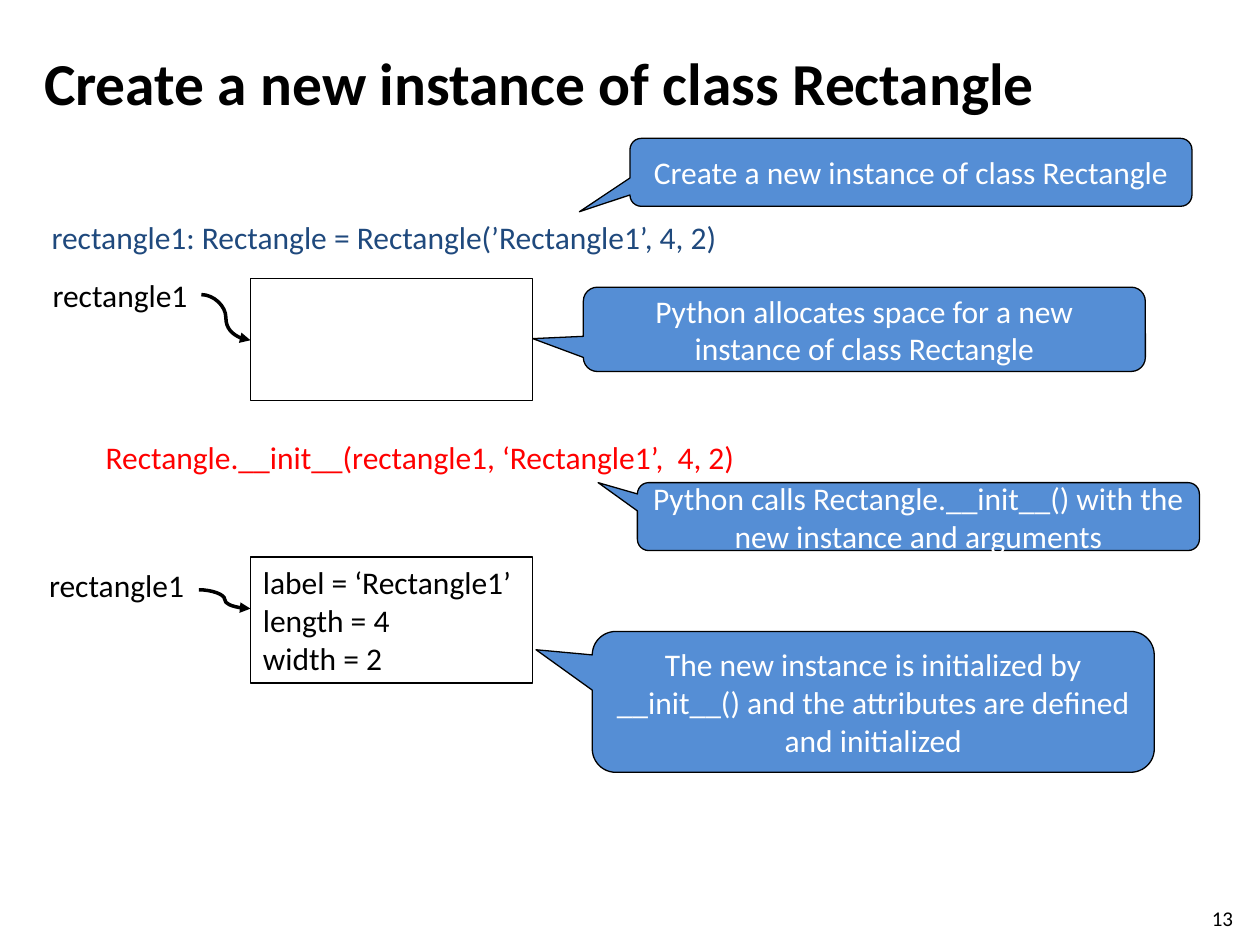
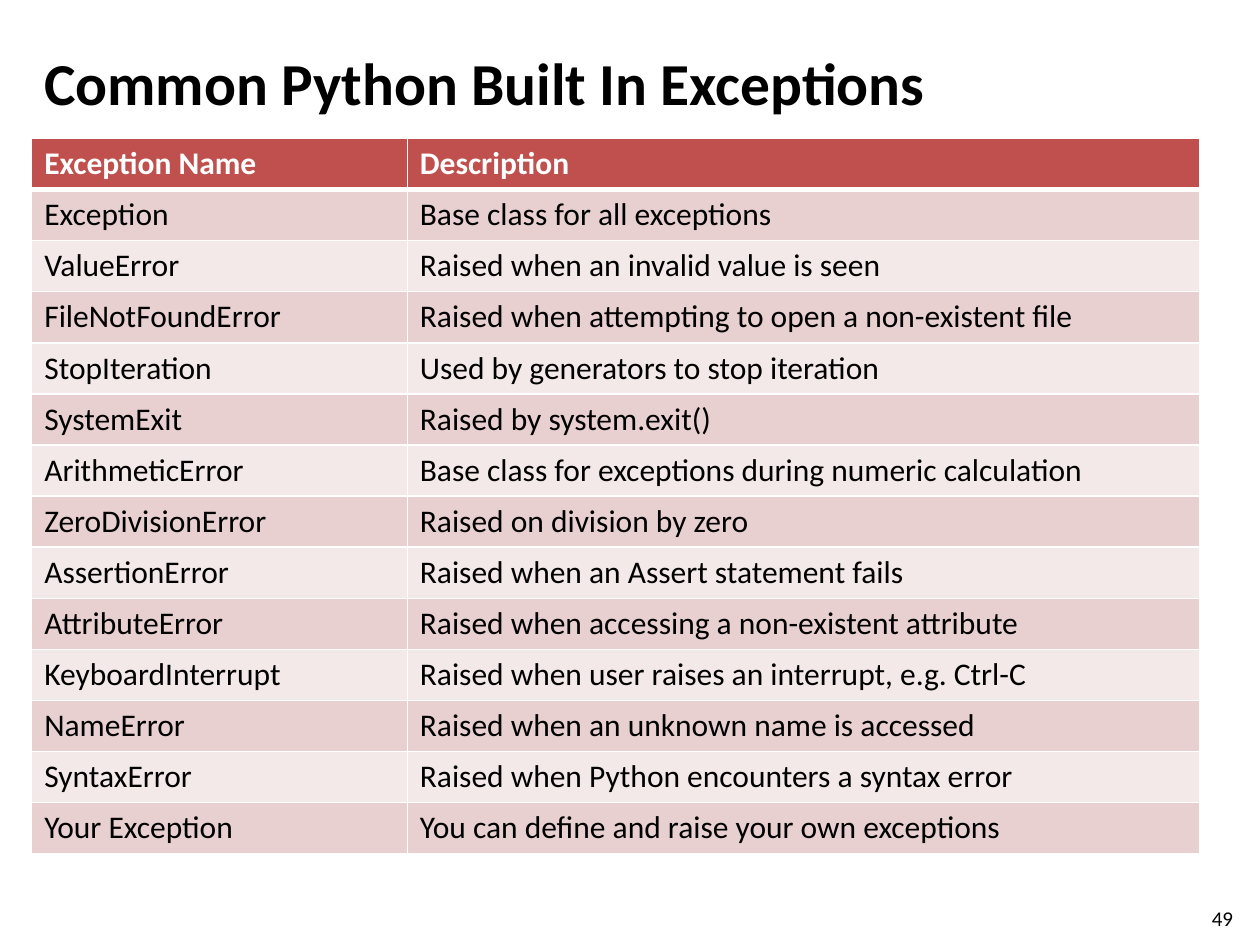
from lxml.etree import SubElement
from pptx import Presentation
from pptx.dml.color import RGBColor
from pptx.enum.shapes import MSO_CONNECTOR as Connector, MSO_SHAPE as Shape
from pptx.enum.text import MSO_ANCHOR as Anchor, PP_ALIGN as Align
from pptx.oxml import parse_xml
from pptx.oxml.ns import nsdecls, qn
from pptx.util import Cm, Pt

FONT = "Calibri"
BLACK, WHITE, BLUE, NAVY, RED = "000000", "FFFFFF", "558ED5", "1F497D", "FF0000"
HEADER_FILL, ROW_FILLS = "C0504D", ("E8D0D0", "F4E9E9")

INSTANCE_TITLE = "Create a new instance of class Rectangle"
CALLOUT_WIDTH = 11.33
CALLOUTS = [
    ("Create a new instance of class Rectangle", 12.7, 2.79, 1.37, (-0.59, 0.58)),
    ("Python allocates space for a new instance of class Rectangle",
     11.76, 5.79, 1.7, (-0.59, 0.11)),
    ("Python calls Rectangle.__init__() with the new instance and arguments",
     12.85, 9.73, 1.37, (-0.57, -0.5)),
    ("The new instance is initialized by __init__() and the attributes are defined and initialized",
     11.94, 12.73, 2.84, (-0.6, -0.37)),
]
CODE_LINES = [
    ("rectangle1: Rectangle = Rectangle(’Rectangle1’, 4, 2)", 0.79, 4.27, 14.73, NAVY),
    ("Rectangle.__init__(rectangle1, ‘Rectangle1’,  4, 2)", 1.88, 8.71, 19.89, RED),
]
INSTANCE_LEFT, INSTANCE_WIDTH = 5.05, 5.69
INSTANCES = [
    dict(attributes="", top=5.61, height=2.46, label=(0.81, 5.44), arrow=(4.06, 5.94, 6.86)),
    dict(attributes="label = ‘Rectangle1’\nlength = 4\nwidth = 2", top=11.23, height=2.54,
         label=(0.74, 11.28), arrow=(4.01, 11.89, 12.27)),
]

EXCEPTIONS_TITLE = "Common Python Built In Exceptions"
COLUMN_WIDTHS = (7.57, 15.98)
ROW_HEIGHT = 1.03
EXCEPTIONS = [
    ("Exception Name", "Description"),
    ("Exception", "Base class for all exceptions"),
    ("ValueError", "Raised when an invalid value is seen"),
    ("FileNotFoundError", "Raised when attempting to open a non-existent file"),
    ("StopIteration", "Used by generators to stop iteration"),
    ("SystemExit", "Raised by system.exit()"),
    ("ArithmeticError", "Base class for exceptions during numeric calculation"),
    ("ZeroDivisionError", "Raised on division by zero"),
    ("AssertionError", "Raised when an Assert statement fails"),
    ("AttributeError", "Raised when accessing a non-existent attribute"),
    ("KeyboardInterrupt", "Raised when user raises an interrupt, e.g. Ctrl-C"),
    ("NameError", "Raised when an unknown name is accessed"),
    ("SyntaxError", "Raised when Python encounters a syntax error"),
    ("Your Exception", "You can define and raise your own exceptions"),
]


def color(hex_string):
    return RGBColor.from_string(hex_string)


def write(frame, text, size=18, fill=BLACK, bold=False, align=Align.LEFT):
    frame.text = text
    for paragraph in frame.paragraphs:
        paragraph.alignment = align
        font = paragraph.font
        font.name, font.size, font.bold = FONT, Pt(size), bold
        font.color.rgb = color(fill)


def add_text(slide, text, left, top, width, height, anchor=Anchor.TOP, wrap=True, **text_format):
    frame = slide.shapes.add_textbox(Cm(left), Cm(top), Cm(width), Cm(height)).text_frame
    frame.word_wrap = wrap
    frame.vertical_anchor = anchor
    write(frame, text, **text_format)


def add_box(slide, kind, text, left, top, width, height, fill=None, **text_format):
    shape = slide.shapes.add_shape(kind, Cm(left), Cm(top), Cm(width), Cm(height))
    shape.shadow.inherit = False
    if fill:
        shape.fill.solid()
        shape.fill.fore_color.rgb = color(fill)
    else:
        shape.fill.background()
    shape.line.color.rgb = color(BLACK)
    shape.line.width = Pt(0.75)
    if text:
        shape.text_frame.word_wrap = True
        shape.text_frame.vertical_anchor = Anchor.MIDDLE
        write(shape.text_frame, text, **text_format)
    return shape


def add_curved_arrow(slide, left, start, right, end):
    connector = slide.shapes.add_connector(Connector.CURVE, Cm(left), Cm(start), Cm(right), Cm(end))
    connector.line.color.rgb = color(BLACK)
    connector.line.width = Pt(2)
    properties = connector.element.spPr
    SubElement(properties.find(qn("a:ln")), qn("a:tailEnd"), type="triangle")
    SubElement(properties, qn("a:effectLst"))


def set_borders(cell, **widths):
    properties = cell._tc.get_or_add_tcPr()
    for position, side in enumerate("LRTB"):
        width = Pt(widths.get(side, 1))
        properties.insert(position, parse_xml(
            f'<a:ln{side} {nsdecls("a")} w="{width}"><a:solidFill>'
            f'<a:srgbClr val="{WHITE}"/></a:solidFill></a:ln{side}>'))


def add_slide(presentation, title, number):
    slide = presentation.slides.add_slide(presentation.slide_layouts[6])
    add_text(slide, title, 0.64, 0.76, 23.57, 1.78, anchor=Anchor.MIDDLE, size=34, bold=True)
    add_text(slide, str(number), 24.18, 18.14, 1.02, 0.61, size=12)
    return slide


def build_instance_slide(presentation):
    slide = add_slide(presentation, INSTANCE_TITLE, 13)
    for instance in INSTANCES:
        add_box(slide, Shape.RECTANGLE, instance["attributes"], INSTANCE_LEFT, instance["top"],
                INSTANCE_WIDTH, instance["height"])
        add_text(slide, "rectangle1", *instance["label"], 3.28, 1.02, wrap=False)
        left, start, end = instance["arrow"]
        add_curved_arrow(slide, left, start, INSTANCE_LEFT, end)
    for text, left, top, width, fill in CODE_LINES:
        add_text(slide, text, left, top, width, 1.02, fill=fill)
    for text, left, top, height, tip in CALLOUTS:
        callout = add_box(slide, Shape.ROUNDED_RECTANGULAR_CALLOUT, text, left, top,
                          CALLOUT_WIDTH, height, fill=BLUE)
        write(callout.text_frame, text, fill=WHITE, align=Align.CENTER)
        callout.adjustments[0], callout.adjustments[1] = tip


def build_exceptions_slide(presentation):
    slide = add_slide(presentation, EXCEPTIONS_TITLE, 49)
    table = slide.shapes.add_table(
        len(EXCEPTIONS), len(COLUMN_WIDTHS), Cm(0.64), Cm(2.79),
        Cm(sum(COLUMN_WIDTHS)), Cm(ROW_HEIGHT * len(EXCEPTIONS))).table
    for column, width in zip(table.columns, COLUMN_WIDTHS):
        column.width = Cm(width)
    for index, texts in enumerate(EXCEPTIONS):
        header = index == 0
        table.rows[index].height = Cm(ROW_HEIGHT)
        for cell, text in zip(table.rows[index].cells, texts):
            write(cell.text_frame, text, fill=WHITE if header else BLACK, bold=header)
            cell.fill.solid()
            cell.fill.fore_color.rgb = color(HEADER_FILL if header else ROW_FILLS[(index - 1) % 2])
            set_borders(cell, B=3 if header else 1, T=3 if index == 1 else 1)


def main():
    presentation = Presentation()
    presentation.slide_width, presentation.slide_height = Cm(25.4), Cm(19.05)
    build_instance_slide(presentation)
    build_exceptions_slide(presentation)
    presentation.save("out.pptx")


if __name__ == "__main__":
    main()
